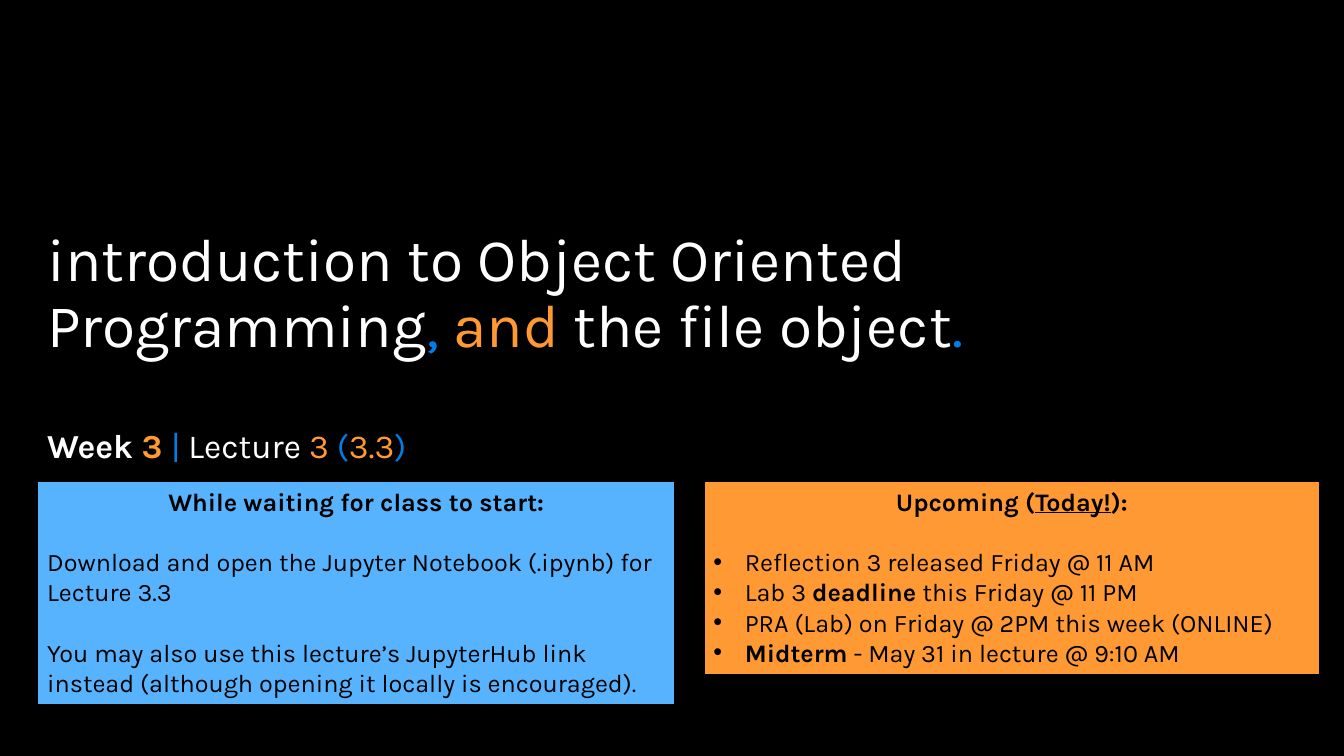
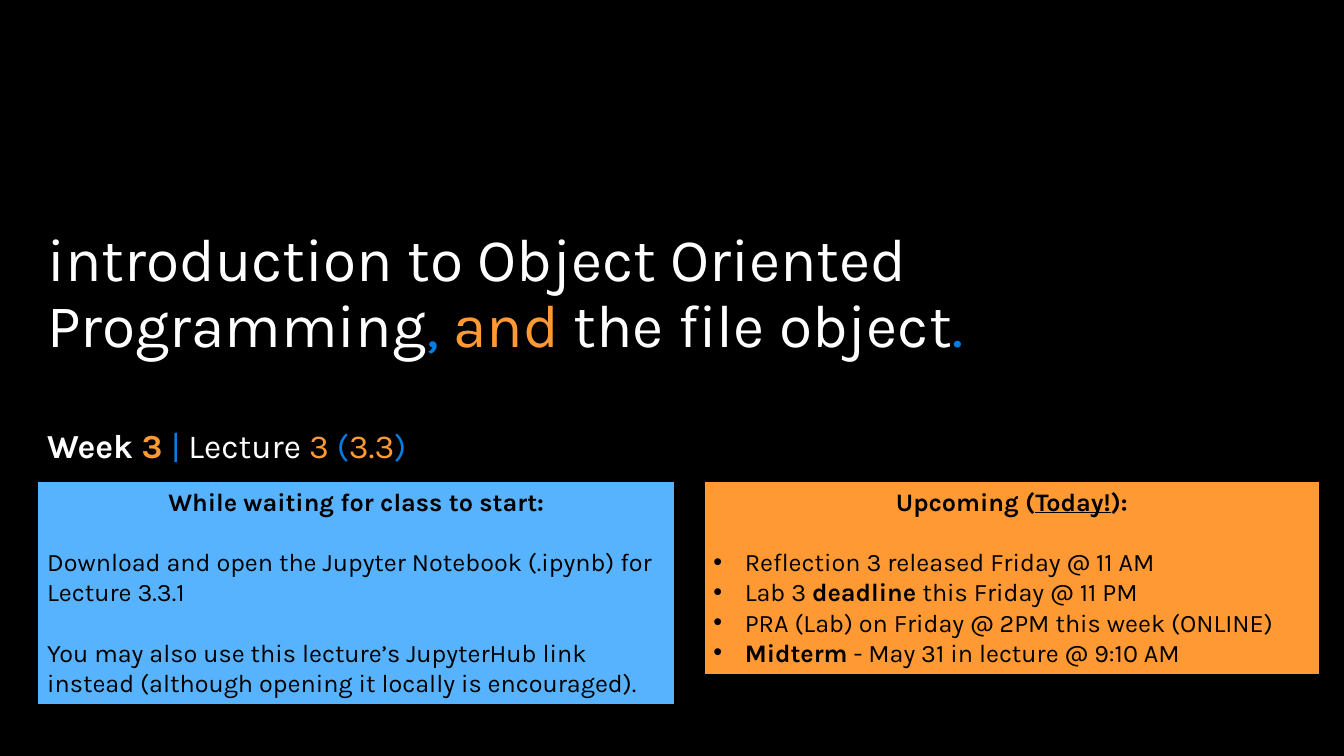
from lxml import etree
from pptx import Presentation
from pptx.dml.color import RGBColor
from pptx.enum.shapes import MSO_SHAPE
from pptx.enum.text import MSO_ANCHOR, PP_ALIGN
from pptx.oxml.ns import qn
from pptx.util import Cm, Pt

RECTANGLE = MSO_SHAPE.RECTANGLE
TOP, BOTTOM = MSO_ANCHOR.TOP, MSO_ANCHOR.BOTTOM
LEFT, CENTER = PP_ALIGN.LEFT, PP_ALIGN.CENTER

BLACK = RGBColor(0x00, 0x00, 0x00)
WHITE = RGBColor(0xFF, 0xFF, 0xFF)
BLUE = RGBColor(0x01, 0x7E, 0xE5)
SKY = RGBColor(0x58, 0xB3, 0xFE)
ORANGE = RGBColor(0xFF, 0x99, 0x33)

FONT = "Karla"
MARGIN = 0.94
HEADING_WIDTH = 31.65
PANEL_TOP = 12.12
BULLET_INDENT = Cm(0.79)
BLANK_LINE = Pt(21.6)

# Base text formats; runs override them with their own dict
TITLE = {"name": FONT, "size": Pt(43.2), "color": WHITE}
SUBTITLE = {"name": FONT, "size": Pt(24), "color": WHITE}
BODY = {"name": FONT, "size": Pt(18), "color": BLACK, "bold": False}

BOLD = {"bold": True}
BLUE_TEXT = {"color": BLUE}
ORANGE_TEXT = {"color": ORANGE}

TITLE_RUNS = [
    ("introduction to Object Oriented Programming", {}),
    (", ", BLUE_TEXT),
    ("and", ORANGE_TEXT),
    (" the file object", {}),
    (".", BLUE_TEXT),
]
SUBTITLE_RUNS = [
    ("Week ", BOLD),
    ("3 ", BOLD | ORANGE_TEXT),
    ("|", BLUE_TEXT),
    (" Lecture ", {}),
    ("3 ", ORANGE_TEXT),
    ("(", BLUE_TEXT),
    ("3.3", ORANGE_TEXT),
    (")", BLUE_TEXT),
]
UPCOMING_HEADING = [
    ("Upcoming (", BOLD),
    ("Today!", BOLD | {"underline": True}),
    ("):", BOLD),
]
UPCOMING_ITEMS = [
    [("Reflection 3 released Friday @ 11 AM", {})],
    [("Lab 3 ", {}), ("deadline ", BOLD), ("this Friday @ 11 PM", {})],
    [("PRA (Lab) on Friday @ 2PM this week (ONLINE)", {})],
    [("Midterm", BOLD), (" - May 31 in lecture @ 9:10 AM", {})],
]
WAITING_HEADING = [("While waiting for class to start:", BOLD)]
NOTEBOOKS = ["3.3", "3.3.1"]


def waiting_items(notebook):
    return [
        [("Download and open the Jupyter Notebook (.ipynb) for "
          f"Lecture {notebook}", {})],
        [("You may also use this lecture’s JupyterHub link instead "
          "(although opening it locally is encouraged).", {})],
    ]


def add_runs(paragraph, runs, base):
    for text, changes in runs:
        run = paragraph.add_run()
        run.text = text
        for name, value in (base | changes).items():
            if name == "color":
                run.font.color.rgb = value
            else:
                setattr(run.font, name, value)


def add_bullet(paragraph):
    properties = paragraph._p.get_or_add_pPr()
    properties.set("marL", str(BULLET_INDENT))
    properties.set("indent", str(-BULLET_INDENT))
    font = etree.SubElement(properties, qn("a:buFont"))
    font.set("typeface", "Arial")
    etree.SubElement(properties, qn("a:buChar")).set("char", "•")


def add_heading(slide, top, height, anchor, runs, base):
    box = slide.shapes.add_textbox(
        Cm(MARGIN), Cm(top), Cm(HEADING_WIDTH), Cm(height))
    frame = box.text_frame
    frame.word_wrap = True
    frame.vertical_anchor = anchor
    paragraph = frame.paragraphs[0]
    paragraph.line_spacing = 0.9
    add_runs(paragraph, runs, base)


def add_panel(slide, left, width, height, color, heading, items, bulleted):
    panel = slide.shapes.add_shape(
        RECTANGLE, Cm(left), Cm(PANEL_TOP), Cm(width), Cm(height))
    panel.shadow.inherit = False
    panel.fill.solid()
    panel.fill.fore_color.rgb = color
    panel.line.color.rgb = BLACK
    panel.line.width = Pt(1.5)
    frame = panel.text_frame
    frame.word_wrap = True
    frame.vertical_anchor = TOP

    paragraph = frame.paragraphs[0]
    paragraph.alignment = CENTER
    add_runs(paragraph, heading, BODY)
    for index, runs in enumerate(items):
        paragraph = frame.add_paragraph()
        paragraph.alignment = LEFT
        # A bulleted list is set apart once, plain paragraphs each time
        if index == 0 or not bulleted:
            paragraph.space_before = BLANK_LINE
        if bulleted:
            add_bullet(paragraph)
        add_runs(paragraph, runs, BODY)


def add_lecture_slide(presentation, notebook):
    slide = presentation.slides.add_slide(presentation.slide_layouts[6])
    slide.background.fill.solid()
    slide.background.fill.fore_color.rgb = BLACK

    # Title and lecture number
    add_heading(slide, 6.71, 2.49, BOTTOM, TITLE_RUNS, TITLE)
    add_heading(slide, 10.69, 4.6, TOP, SUBTITLE_RUNS, SUBTITLE)

    # Announcement panels
    add_panel(slide, 17.73, 15.54, 4.88, ORANGE,
              UPCOMING_HEADING, UPCOMING_ITEMS, bulleted=True)
    add_panel(slide, MARGIN, 16.08, 5.64, SKY,
              WAITING_HEADING, waiting_items(notebook), bulleted=False)


def main():
    presentation = Presentation()
    presentation.slide_width = Cm(33.87)
    presentation.slide_height = Cm(19.05)
    for notebook in NOTEBOOKS:
        add_lecture_slide(presentation, notebook)
    presentation.save("out.pptx")


if __name__ == "__main__":
    main()
